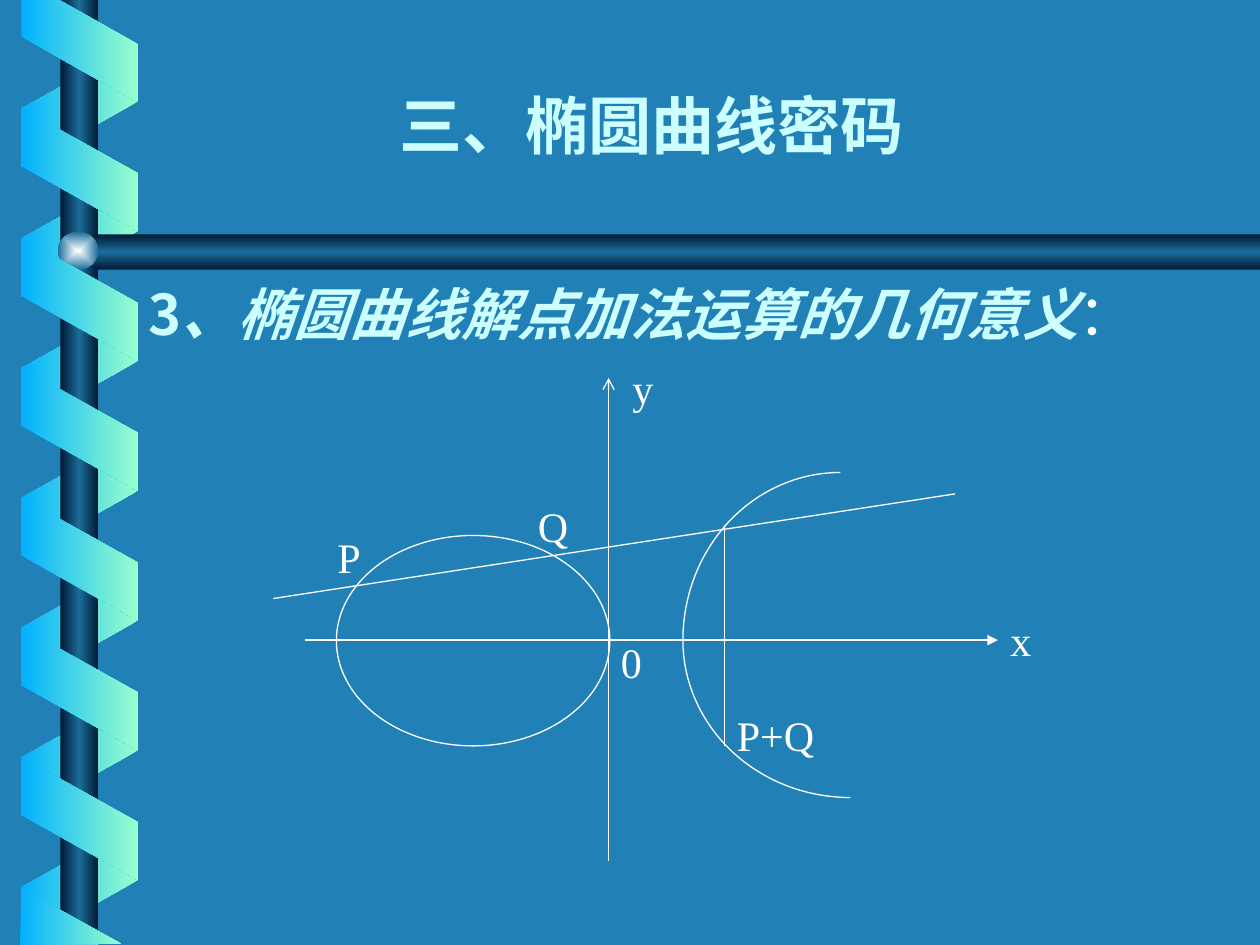
from math import cos, pi, sin

from pptx import Presentation
from pptx.dml.color import RGBColor
from pptx.enum.shapes import MSO_CONNECTOR, MSO_SHAPE
from pptx.enum.text import MSO_ANCHOR, PP_ALIGN
from pptx.oxml import parse_xml
from pptx.oxml.ns import nsdecls, qn
from pptx.util import Cm, Pt

STRAIGHT = MSO_CONNECTOR.STRAIGHT
RECTANGLE, OVAL, PARALLELOGRAM = MSO_SHAPE.RECTANGLE, MSO_SHAPE.OVAL, MSO_SHAPE.PARALLELOGRAM
TOP, BOTTOM = MSO_ANCHOR.TOP, MSO_ANCHOR.BOTTOM
LEFT, CENTER, JUSTIFY = PP_ALIGN.LEFT, PP_ALIGN.CENTER, PP_ALIGN.JUSTIFY

HEAVY, NARROW, SERIF = "Noto Sans CJK SC", "Arial Narrow", "Times New Roman"
BACKGROUND, PALE, WHITE = "2181B7", "CCFFFF", "FFFFFF"
RIBBON = [(0, "01B0FF"), (100, "99FFCC")]
RIBBON_BACK = [(0, "99FFCC"), (100, "01B0FF")]
METAL = [(0, "001932"), (50, "1C6D9A"), (100, "001932")]
KNOB = [(0, "FEFFFF"), (100, "1C6D9A")]

TITLE = [("三", {}), ("、", {"font": NARROW}), ("椭圆曲线密码", {})]
HEADING = [
    ("3", {}),
    ("、椭圆曲线解点加法运算的几何意义", {"italic": True}),
    ("：", {"color": WHITE, "bold": False}),
]
LABELS = [
    ("x", 7.92, 4.83, 0.67),
    ("y", 4.92, 2.83, 0.5),
    ("0", 4.83, 5, 0.58),
    ("P", 2.58, 4.17, 0.58),
    ("Q", 4.17, 3.92, 0.58),
    ("P+Q", 5.75, 5.58, 0.83),
]
LINES = [
    ((2.42, 5.08), (7.92, 5.08), ("tailEnd", "triangle")),
    ((4.83, 3), (4.83, 6.83), ("headEnd", "arrow")),
    ((2.17, 4.75), (7.58, 3.92), None),
    ((5.75, 4.17), (5.75, 5.92), None),
]
ARCS = [((6.67, 5.08), (1.25, 1.33), 1), ((6.75, 5.08), (1.33, 1.25), -1)]
ARC_STEPS = 32

PITCH = 1.03
BACK_TOPS = [0.37 + PITCH * turn for turn in range(7)]
FRONT_TOPS = [0.88 + PITCH * turn for turn in range(6)]
BAR = [(10, 1.86), (0.76, 1.86), (0.6, 2), (0.76, 2.14), (10, 2.14)]
RIBBON_ENDS = [
    [(0.17, 0), (0.17, 0.29), (1.09, 0.81), (1.09, 0.35), (0.47, 0)],
    [(0.96, 7.49), (0.17, 7.05), (0.16, 7.5)],
]


def inches(*values):
    return [Cm(value * 2.54) for value in values]


def rgb(code):
    return RGBColor.from_string(code)


def paint_gradient(shape, stops, angle=0, centered=False):
    marks = "".join(
        f'<a:gs pos="{place * 1000}"><a:srgbClr val="{code}"/></a:gs>' for place, code in stops
    )
    if centered:
        direction = '<a:path path="rect"><a:fillToRect l="50000" t="50000" r="50000" b="50000"/></a:path>'
    else:
        direction = f'<a:lin ang="{angle * 60000}" scaled="0"/>'
    gradient = parse_xml(
        f'<a:gradFill {nsdecls("a")} rotWithShape="0"><a:gsLst>{marks}</a:gsLst>{direction}</a:gradFill>'
    )
    shape.fill.background()
    properties = shape._element.spPr
    properties.replace(properties.find(qn("a:noFill")), gradient)
    shape.line.fill.background()
    shape.shadow.inherit = False


def outline(shape):
    shape.fill.background()
    shape.line.color.rgb = rgb(WHITE)
    shape.line.width = Pt(0.75)
    shape.shadow.inherit = False


def add_outline(shapes, points, close=True):
    start, *rest = [inches(*point) for point in points]
    builder = shapes.build_freeform(*start, scale=1.0)
    builder.add_line_segments(rest, close=close)
    return builder.convert_to_shape()


def add_ribbon(shapes, top, stops, rotation, flipped=False):
    band = shapes.add_shape(PARALLELOGRAM, *inches(0.14, top, 0.98, 0.93))
    band.adjustments[0] = 0.56
    band.rotation = rotation
    if flipped:
        band._element.spPr.find(qn("a:xfrm")).set("flipH", "1")
    paint_gradient(band, stops)


def add_line(shapes, start, end, arrow):
    line = shapes.add_connector(STRAIGHT, *inches(*start, *end))
    line.line.color.rgb = rgb(WHITE)
    line.line.width = Pt(0.75)
    if arrow:
        side, kind = arrow
        line.line._get_or_add_ln().append(parse_xml(f'<a:{side} {nsdecls("a")} type="{kind}"/>'))
    line._element.spPr.append(parse_xml(f'<a:effectLst {nsdecls("a")}/>'))


def place(box, left, top, width, height):
    box.left, box.top, box.width, box.height = inches(left, top, width, height)


def write(box, spans, size=24, font=SERIF, color=WHITE, bold=False, align=LEFT, anchor=TOP, hanging=0):
    frame = box.text_frame
    frame.word_wrap = True
    frame.vertical_anchor = anchor
    para = frame.paragraphs[0]
    para.alignment = align
    para.space_before = Pt(0)
    properties = para._p.get_or_add_pPr()
    indent = inches(hanging)[0]
    properties.set("marL", str(indent))
    properties.set("indent", str(-indent))
    properties.append(parse_xml(f'<a:buNone {nsdecls("a")}/>'))
    for text, change in spans:
        look = {"font": font, "color": color, "bold": bold, "italic": False, **change}
        span = para.add_run()
        span.text = text
        span.font.size = Pt(size)
        span.font.bold = look["bold"]
        span.font.italic = look["italic"]
        span.font.color.rgb = rgb(look["color"])
        span.font.name = look["font"]
        east_asian = parse_xml(f'<a:ea {nsdecls("a")} typeface="{look["font"]}"/>')
        span.font._element.find(qn("a:latin")).addnext(east_asian)


def draw_binding(shapes):
    for top in BACK_TOPS:
        add_ribbon(shapes, top, RIBBON_BACK, 90, flipped=True)
    paint_gradient(shapes.add_shape(RECTANGLE, *inches(0.48, 0, 0.3, 7.5)), METAL)
    paint_gradient(add_outline(shapes, BAR), METAL, angle=90)
    paint_gradient(shapes.add_shape(OVAL, *inches(0.46, 1.84, 0.32, 0.3)), KNOB, centered=True)
    for top in FRONT_TOPS:
        add_ribbon(shapes, top, RIBBON, 270)
    for points in RIBBON_ENDS:
        paint_gradient(add_outline(shapes, points), RIBBON)


def draw_curve(shapes):
    for start, end, arrow in LINES:
        add_line(shapes, start, end, arrow)
    outline(shapes.add_shape(OVAL, *inches(2.67, 4.25, 2.17, 1.67)))
    for (x, y), (across, down), side in ARCS:
        angles = [pi / 2 * step / ARC_STEPS for step in range(ARC_STEPS + 1)]
        points = [(x - across * cos(angle), y - side * down * sin(angle)) for angle in angles]
        outline(add_outline(shapes, points, close=False))
    for text, left, top, width in LABELS:
        write(shapes.add_textbox(*inches(left, top, width, 0.5)), [(text, {})])


def main():
    deck = Presentation()
    deck.slide_width, deck.slide_height = inches(10, 7.5)
    page = deck.slides.add_slide(deck.slide_layouts[1])
    page.background.fill.solid()
    page.background.fill.fore_color.rgb = rgb(BACKGROUND)
    title, body = page.placeholders
    place(title, 0.92, 0.42, 8.5, 0.92)
    write(title, TITLE, size=36, font=HEAVY, color=PALE, bold=True, align=CENTER, anchor=BOTTOM)
    place(body, 1.08, 2.17, 8.67, 5.33)
    write(body, HEADING, size=32, font=HEAVY, color=PALE, bold=True, align=JUSTIFY, hanging=0.38)
    draw_binding(page.shapes)
    draw_curve(page.shapes)
    deck.save("out.pptx")


if __name__ == "__main__":
    main()
